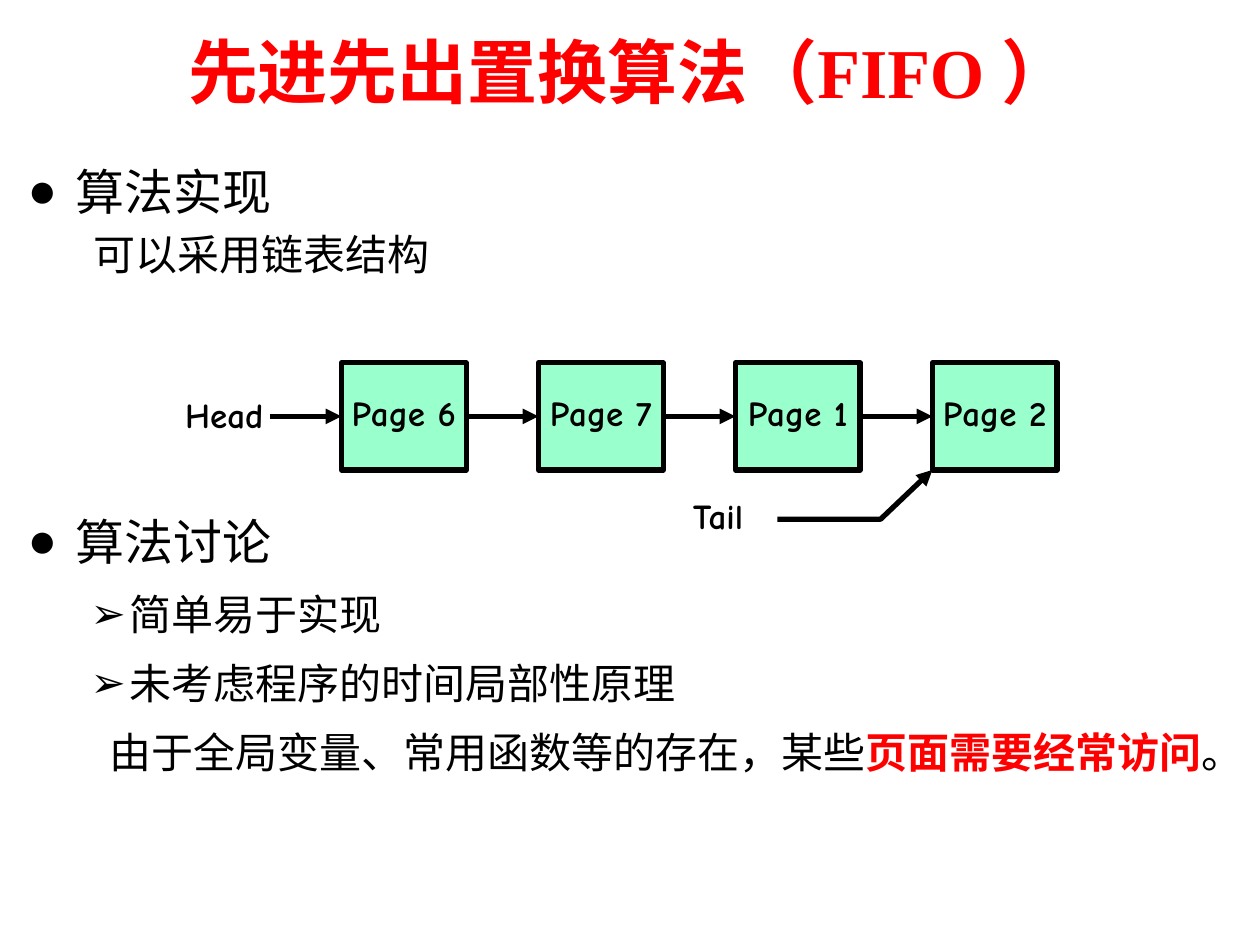
from lxml.etree import SubElement
from pptx import Presentation
from pptx.dml.color import RGBColor
from pptx.enum.shapes import MSO_CONNECTOR as Connector, MSO_SHAPE as Shape
from pptx.enum.text import MSO_ANCHOR as Anchor, MSO_AUTO_SIZE as AutoSize, PP_ALIGN as Align
from pptx.oxml.ns import qn
from pptx.util import Inches, Pt

BLACK, RED, GREEN = "000000", "FE0000", "99FFCC"
SERIF, CHINESE, COMIC = "Times New Roman", "Noto Sans CJK SC", "Comic Neue"
BOX_TOP, BOX_WIDTH, BOX_HEIGHT = 2.88, 0.99, 0.85
FIRST_LEFT, LAST_LEFT = 2.71, 7.4
MIDDLE = BOX_TOP + BOX_HEIGHT / 2


def color(value):
    return RGBColor.from_string(value)


def format_span(span, size, font, ink=BLACK, bold=False):
    span.font.size = Pt(size)
    span.font.name = font
    span.font.bold = bold
    span.font.color.rgb = color(ink)
    east_asian = SubElement(span.font._element, qn("a:ea"))
    east_asian.set("typeface", CHINESE)


def place(shape, left, top, width, height):
    shape.left, shape.top = Inches(left), Inches(top)
    shape.width, shape.height = Inches(width), Inches(height)


def set_title(page, text):
    title = page.shapes.title
    place(title, 0, 0.05, 10, 1.02)
    frame = title.text_frame
    frame.text = text
    frame.auto_size = AutoSize.NONE
    frame.vertical_anchor = Anchor.MIDDLE
    para = frame.paragraphs[0]
    para.alignment = Align.CENTER
    format_span(para.runs[0], 40, SERIF, RED, True)


def set_indent(para, left, hanging=0, bullet=None):
    properties = para._p.get_or_add_pPr()
    properties.set("marL", str(Inches(left)))
    properties.set("indent", str(-Inches(hanging)))
    if bullet:
        SubElement(properties, qn("a:buChar")).set("char", bullet)
    else:
        SubElement(properties, qn("a:buNone"))


def add_para(frame, text):
    para = frame.paragraphs[0] if not frame.text else frame.add_paragraph()
    para.text = text
    return para


def add_heading(frame, text, space=None):
    para = add_para(frame, text)
    para.space_before = space
    set_indent(para, 0.38, 0.38, "●")
    format_span(para.runs[0], 28, SERIF)


def add_detail(frame, text, left, font=CHINESE, spacing=1.2, hanging=0, bullet=None):
    para = add_para(frame, text)
    para.line_spacing = spacing
    set_indent(para, left, hanging, bullet)
    format_span(para.runs[0], 24, font)
    return para


def fill_body(page):
    body = page.placeholders[1]
    place(body, 0.12, 1.23, 10.08, 5.67)
    frame = body.text_frame
    frame.auto_size = AutoSize.NONE
    add_heading(frame, "算法实现")
    add_detail(frame, "可以采用链表结构", 0.52, SERIF, 1.0)
    add_heading(frame, "算法讨论", Pt(133))
    for text in ("简单易于实现", "未考虑程序的时间局部性原理"):
        add_detail(frame, text, 0.81, hanging=0.31, bullet="➢")
    para = add_detail(frame, "由于全局变量、常用函数等的存在，某些", 0.65)
    for text, ink, bold in (("页面需要经常访问", RED, True), ("。", BLACK, False)):
        span = para.add_run()
        span.text = text
        format_span(span, 24, CHINESE, ink, bold)


def write_label(shape, text):
    frame = shape.text_frame
    frame.text = text
    frame.word_wrap = False
    frame.vertical_anchor = Anchor.MIDDLE
    para = frame.paragraphs[0]
    para.alignment = Align.CENTER
    para.line_spacing = 0.8
    format_span(para.runs[0], 20, COMIC, BLACK, True)


def add_label(page, text, left, top, width):
    box = page.shapes.add_textbox(Inches(left), Inches(top), Inches(width), Inches(0.36))
    write_label(box, text)


def style_line(line):
    line.color.rgb = color(BLACK)
    line.width = Pt(3)


def add_arrowhead(shape):
    style_line(shape.line)
    SubElement(shape.line._get_or_add_ln(), qn("a:tailEnd")).set("type", "triangle")


def add_page_box(page, text, left):
    box = page.shapes.add_shape(
        Shape.RECTANGLE, Inches(left), Inches(BOX_TOP), Inches(BOX_WIDTH), Inches(BOX_HEIGHT))
    box.shadow.inherit = False
    box.fill.solid()
    box.fill.fore_color.rgb = color(GREEN)
    style_line(box.line)
    write_label(box, text)
    return box


def add_arrow(page, start, target, source=None):
    arrow = page.shapes.add_connector(
        Connector.STRAIGHT, Inches(start), Inches(MIDDLE), target.left, Inches(MIDDLE))
    if source:
        arrow.begin_connect(source, 3)
    arrow.end_connect(target, 1)
    add_arrowhead(arrow)
    SubElement(arrow._element.spPr, qn("a:effectLst"))


def add_tail_arrow(page):
    start, bend, tip = [
        (Inches(x), Inches(y))
        for x, y in ((6.17, 4.12), (6.99, 4.12), (LAST_LEFT, BOX_TOP + BOX_HEIGHT))]
    builder = page.shapes.build_freeform(*start)
    builder.add_line_segments([bend, tip], close=False)
    arrow = builder.convert_to_shape()
    arrow.fill.background()
    add_arrowhead(arrow)
    arrow.shadow.inherit = False


def draw_linked_list(page):
    names = ("Page 6", "Page 7", "Page 1", "Page 2")
    pitch = (LAST_LEFT - FIRST_LEFT) / (len(names) - 1)
    boxes = [add_page_box(page, name, FIRST_LEFT + i * pitch) for i, name in enumerate(names)]
    add_arrow(page, 2.14, boxes[0])
    for source, target in zip(boxes, boxes[1:]):
        add_arrow(page, 0, target, source)
    add_label(page, "Head", 1.34, 3.14, 0.88)
    add_tail_arrow(page)
    add_label(page, "Tail", 5.35, 3.94, 0.7)


def main():
    deck = Presentation()
    deck.slide_width, deck.slide_height = Inches(10), Inches(7.5)
    page = deck.slides.add_slide(deck.slide_layouts[1])
    set_title(page, "先进先出置换算法（FIFO ）")
    fill_body(page)
    draw_linked_list(page)
    deck.save("out.pptx")


if __name__ == "__main__":
    main()
